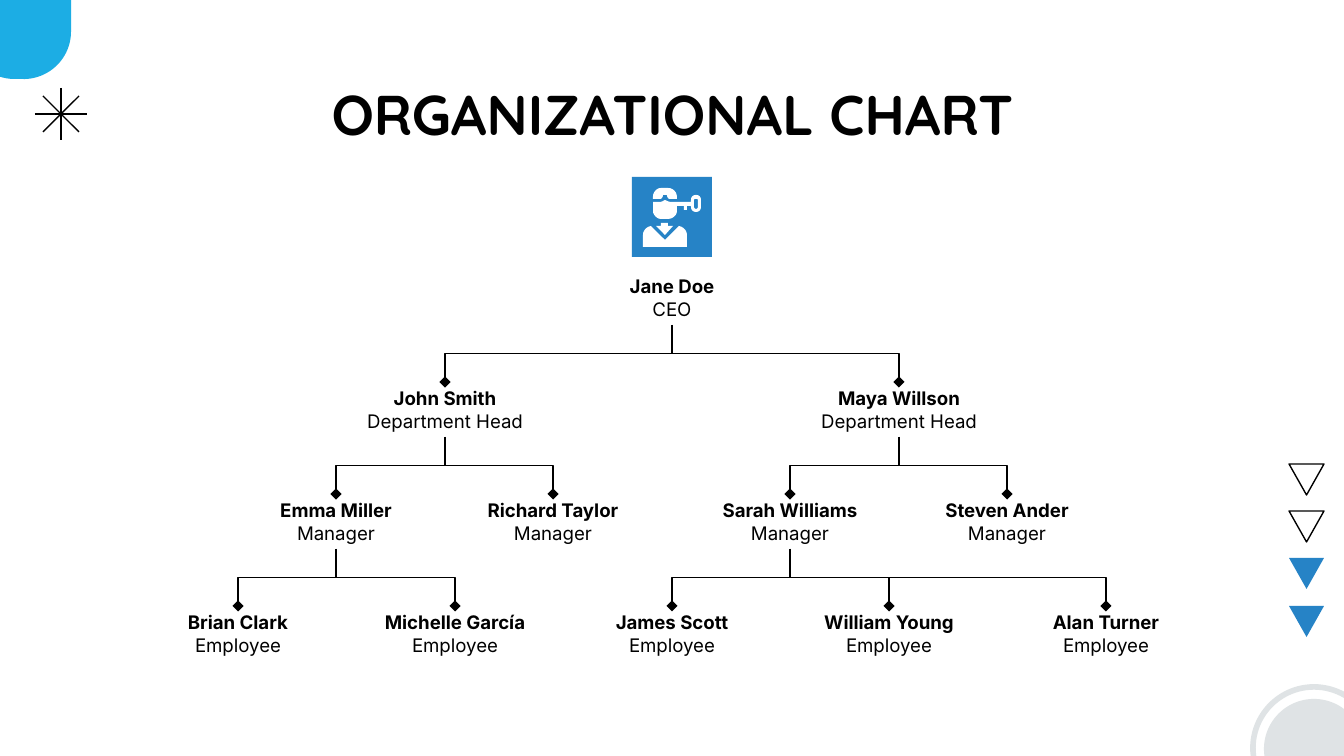
from pptx import Presentation
from pptx import util as u
from pptx.dml.color import RGBColor
from pptx.enum import shapes, text
from pptx.oxml.ns import qn
from lxml import etree

COLORS = {"black": "000000", "white": "FFFFFF", "cyan": "1CADE4",
          "blue": "2683C6", "gray": "DFE3E5"}
SCALE = 914400 / 134.4  # EMU per px
LEVEL_TOP, LEVEL_STEP, BOX_HEIGHT = 270, 112, 55

# name, level, centre x, manager's name
PEOPLE = [
    ("Jane Doe", 0, 672, None),
    ("John Smith", 1, 445, "Jane Doe"),
    ("Maya Willson", 1, 899, "Jane Doe"),
    ("Emma Miller", 2, 336, "John Smith"),
    ("Richard Taylor", 2, 553, "John Smith"),
    ("Sarah Williams", 2, 790, "Maya Willson"),
    ("Steven Ander", 2, 1007, "Maya Willson"),
    ("Brian Clark", 3, 238, "Emma Miller"),
    ("Michelle García", 3, 455, "Emma Miller"),
    ("James Scott", 3, 672, "Sarah Williams"),
    ("William Young", 3, 889, "Sarah Williams"),
    ("Alan Turner", 3, 1106, "Sarah Williams"),
]
# role and box width of each level
LEVELS = [("CEO", 198), ("Department Head", 198), ("Manager", 174), ("Employee", 174)]

# Icon outlines: pairs are corners, six numbers are a Bézier curve
HAIR = [[(661, 188), (657, 188, 653, 192, 653, 197), (653, 199), (660, 199),
         (662, 199, 663, 197, 663, 195), (667, 195), (667, 197, 668, 199, 670, 199),
         (677, 199), (677, 197), (677, 192, 673, 188, 668, 188)]]
SHOULDERS = [[(651, 226), (646, 227, 643, 231, 643, 235), (643, 247), (687, 247),
              (687, 235), (687, 231, 684, 227, 679, 226), (665, 240)]]
FACE_AND_KEY = [
    [(696, 195), (693, 195, 691, 197, 691, 200), (691, 202), (671, 202),
     (669, 202, 667, 201, 665, 200), (663, 201, 662, 202, 660, 202), (653, 202),
     (653, 211), (653, 215, 657, 219, 661, 219), (668, 219),
     (673, 219, 677, 215, 677, 211), (677, 206), (684, 206), (684, 210), (687, 210),
     (687, 206), (691, 206), (691, 207), (691, 210, 693, 212, 696, 212),
     (699, 212, 701, 210, 701, 207), (701, 200), (701, 197, 699, 195, 696, 195)],
    [(696, 199), (697, 199, 698, 199, 698, 200), (698, 207),
     (698, 208, 697, 209, 696, 209), (695, 209, 694, 208, 694, 207), (694, 200),
     (694, 199, 695, 199, 696, 199)],
]
COLLAR = [[(661, 223), (668, 223), (668, 226), (673, 226), (665, 235),
           (656, 226), (661, 226)]]


def px(length):
    return u.Emu(round(length * SCALE))


def color(name):
    return RGBColor.from_string(COLORS[name])


def write(frame, lines, font="Inter", size=10, anchor=text.MSO_ANCHOR.MIDDLE):
    """Fill a frame with centred lines, each a (words, bold) pair."""
    frame.word_wrap = True
    frame.auto_size = text.MSO_AUTO_SIZE.NONE
    frame.vertical_anchor = anchor
    frame.margin_left = frame.margin_right = u.Inches(0.1)
    frame.margin_top = frame.margin_bottom = u.Inches(0.1)
    for index, (words, bold) in enumerate(lines):
        para = frame.add_paragraph() if index else frame.paragraphs[0]
        para.alignment = text.PP_ALIGN.CENTER
        span = para.add_run()
        span.text = words
        span.font.name, span.font.size, span.font.bold = font, u.Pt(size), bold
        span.font.color.rgb = color("black")


def paint(shape, fill=None, line=None, weight=0.75):
    shape.shadow.inherit = False
    if fill:
        shape.fill.solid()
        shape.fill.fore_color.rgb = color(fill)
    else:
        shape.fill.background()
    if line:
        shape.line.color.rgb = color(line)
        shape.line.width = u.Pt(weight)
    else:
        shape.line.fill.background()


def add_preset(page, kind, left, top, width, height, rotation=0, **look):
    shape = page.shapes.add_shape(kind, px(left), px(top), px(width), px(height))
    shape.rotation = rotation
    paint(shape, **look)
    return shape


def add_line(page, kind, x1, y1, x2, y2):
    line = page.shapes.add_connector(kind, px(x1), px(y1), px(x2), px(y2))
    line.line.color.rgb = color("black")
    line.line.width = u.Pt(0.75)
    etree.SubElement(line.element.spPr, qn("a:effectLst"))
    return line


def add_branch(page, x1, y1, x2, y2):
    """Elbow that leaves downwards: a sideways one, turned by a quarter."""
    middle_x, middle_y = (x1 + x2) / 2, (y1 + y2) / 2
    half_width, half_height = (y2 - y1) / 2, abs(x2 - x1) / 2
    side = 1 if x2 > x1 else -1
    branch = add_line(page, shapes.MSO_CONNECTOR.ELBOW,
                      middle_x + side * half_width, middle_y - half_height,
                      middle_x - side * half_width, middle_y + half_height)
    branch.rotation = 270 if side > 0 else 90
    etree.SubElement(branch.element.spPr.find(qn("a:ln")), qn("a:tailEnd"), type="diamond")


def add_outline(page, contours, fill, steps=6):
    builder = None
    for contour in contours:
        points = []
        for segment in contour:
            if len(segment) == 2:
                points.append(segment)
                continue
            curve = [points[-1], segment[:2], segment[2:4], segment[4:]]
            for step in range(1, steps + 1):
                t = step / steps
                weights = ((1 - t) ** 3, 3 * t * (1 - t) ** 2, 3 * t * t * (1 - t), t ** 3)
                points.append(tuple(sum(w * p[axis] for w, p in zip(weights, curve))
                                    for axis in (0, 1)))
        corners = [(px(x), px(y)) for x, y in points]
        if builder is None:
            builder = page.shapes.build_freeform(*corners[0])
        else:
            builder.move_to(*corners[0])
        builder.add_line_segments(corners[1:], close=True)
    paint(builder.convert_to_shape(), fill=fill)


def add_decoration(page):
    kinds = shapes.MSO_SHAPE
    # Rounded corner and ring
    corner = add_preset(page, kinds.ROUND_2_SAME_RECTANGLE, -33, -16, 104, 95, 180, fill="cyan")
    corner.adjustments[0] = 0.5
    add_preset(page, kinds.OVAL, 1253, 687, 122, 122, line="gray", weight=3)
    add_preset(page, kinds.OVAL, 1264, 699, 100, 100, fill="gray")
    # Column of triangles: two outlined, two filled
    for index in range(4):
        look = {"line": "black"} if index < 2 else {"fill": "blue"}
        add_preset(page, kinds.ISOSCELES_TRIANGLE, 1289, 464 + 142 * index // 3,
                   35, 31, 180, **look)
    # Star of four crossing lines
    for dx, dy in ((18, 18), (-18, 18), (0, 26), (26, 0)):
        add_line(page, shapes.MSO_CONNECTOR.STRAIGHT, 61 - dx, 114 - dy, 61 + dx, 114 + dy)


def add_people(page):
    places = {}
    for name, level, center, manager in PEOPLE:
        role, width = LEVELS[level]
        top = LEVEL_TOP + LEVEL_STEP * level
        places[name] = center, top + BOX_HEIGHT
        if manager:
            add_branch(page, *places[manager], center, top)
        box = page.shapes.add_textbox(px(center - width / 2), px(top), px(width), px(BOX_HEIGHT))
        write(box.text_frame, [(name, True), (role, False)])


def add_icon(page):
    add_preset(page, shapes.MSO_SHAPE.RECTANGLE, 632, 177, 80, 80, fill="blue")
    for contours in (HAIR, SHOULDERS, FACE_AND_KEY, COLLAR):
        add_outline(page, contours, "white")


def main():
    deck = Presentation()
    deck.slide_width, deck.slide_height = px(1344), px(756)
    page = deck.slides.add_slide(deck.slide_layouts[5])
    add_decoration(page)
    # Title
    title = page.shapes.title
    title.left, title.top, title.width, title.height = px(106), px(66), px(1133), px(85)
    write(title.text_frame, [("ORGANIZATIONAL CHART", True)], font="Quicksand", size=30,
          anchor=text.MSO_ANCHOR.TOP)
    # Chart
    add_people(page)
    add_icon(page)
    deck.save("out.pptx")


if __name__ == "__main__":
    main()
